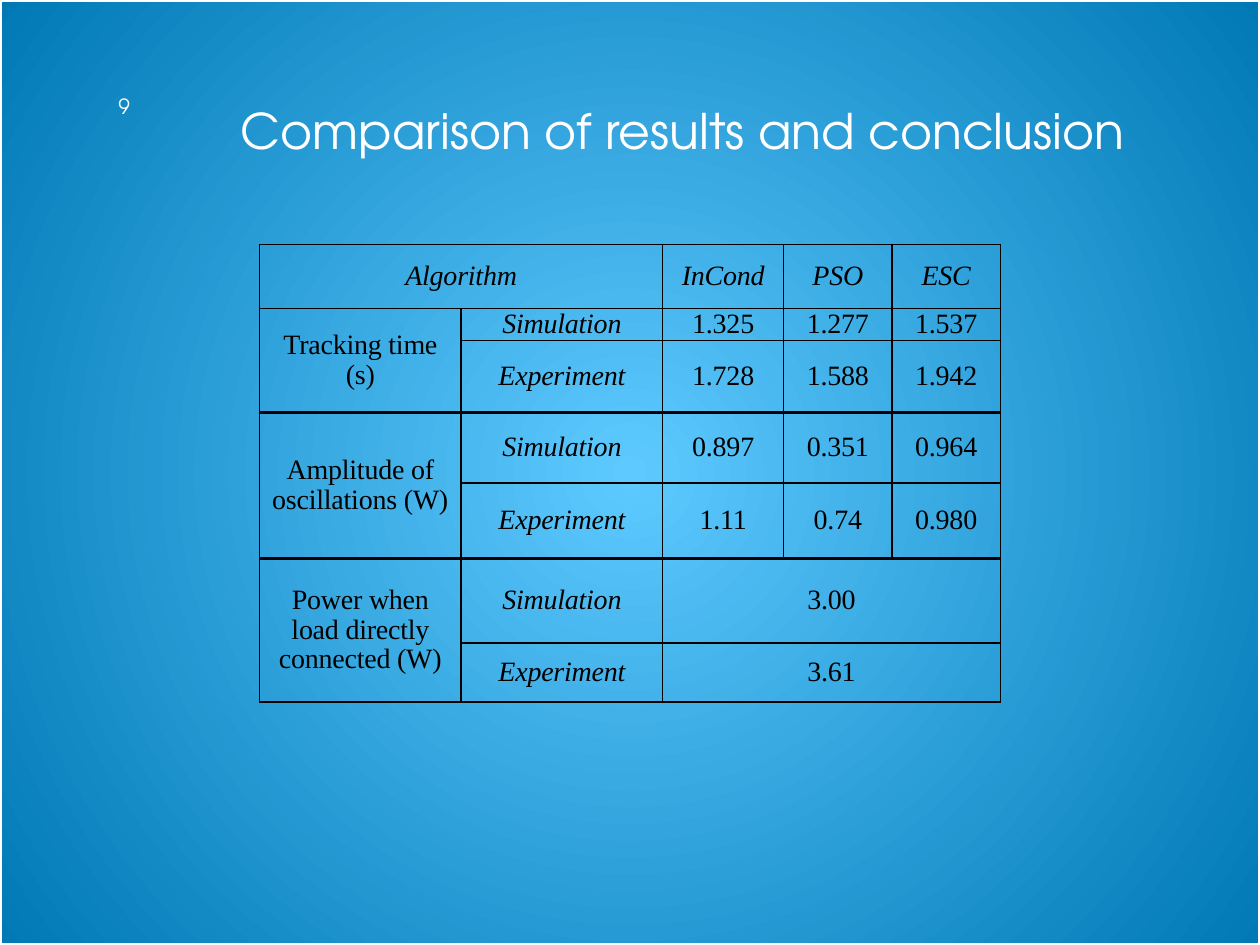
"""Build the slide comparing the results of three tracking algorithms."""
from lxml import etree
from pptx import Presentation
from pptx.dml.color import RGBColor
from pptx.enum.shapes import MSO_SHAPE
from pptx.enum.text import MSO_ANCHOR, PP_ALIGN
from pptx.oxml import parse_xml
from pptx.oxml.ns import nsdecls, qn
from pptx.util import Inches, Pt

CENTER = PP_ALIGN.CENTER
MIDDLE = MSO_ANCHOR.MIDDLE
RECTANGLE = MSO_SHAPE.RECTANGLE
COLORS = {"glow": "5DC9FF", "edge": "0079B5", "light": "FFFFFF", "ink": "000000"}
HEADING_FONT = "TeX Gyre Adventor"
TABLE_FONT = "Times New Roman"


def add_label(page, text, left, top, width, height, size):
    box = page.shapes.add_textbox(Inches(left), Inches(top), Inches(width), Inches(height))
    frame = box.text_frame
    frame.word_wrap = True
    frame.vertical_anchor = MIDDLE
    frame.text = text
    para = frame.paragraphs[0]
    para.alignment = CENTER
    para.font.name = HEADING_FONT
    para.font.size = Pt(size)
    para.runs[0].font.name = HEADING_FONT
    para.runs[0].font.size = Pt(size)
    para.runs[0].font.color.rgb = RGBColor.from_string(COLORS["light"])


def add_border(cell, side, points):
    cell._tc.get_or_add_tcPr().append(parse_xml(
        f'<a:{side} {nsdecls("a")} w="{Pt(points)}"><a:solidFill>'
        f'<a:srgbClr val="{COLORS["ink"]}"/></a:solidFill></a:{side}>'))


deck = Presentation()
deck.slide_width = Inches(10)
deck.slide_height = Inches(7.5)
page = deck.slides.add_slide(deck.slide_layouts[6])

backdrop = page.background.fill
backdrop.gradient()
for stop, name, position in zip(backdrop.gradient_stops, ("glow", "edge"), (0, 1)):
    stop.color.rgb = RGBColor.from_string(COLORS[name])
    stop.position = position
gradient = page._element.find(".//" + qn("a:gradFill"))
direction = gradient.find(qn("a:lin"))
gradient.replace(direction, parse_xml(
    f'<a:path {nsdecls("a")} path="circle">'
    '<a:fillToRect l="50000" t="50000" r="50000" b="50000"/></a:path>'))

border = page.shapes.add_shape(RECTANGLE, 0, 0, deck.slide_width, deck.slide_height)
border.shadow.inherit = False
border.fill.background()
border.line.color.rgb = RGBColor.from_string(COLORS["light"])
border.line.width = Pt(2)

add_label(page, "Comparison of results and conclusion", 1.58, 0.75, 7.67, 0.57, 28)

widths = [1.6, 1.6, 0.96, 0.86, 0.86]
heights = [0.51, 0.25, 0.57, 0.56, 0.6, 0.67, 0.47]
results = [
    ["Algorithm", "", "InCond", "PSO", "ESC"],
    ["Tracking time (s)", "Simulation", "1.325", "1.277", "1.537"],
    ["", "Experiment", "1.728", "1.588", "1.942"],
    ["Amplitude of oscillations (W)", "Simulation", "0.897", "0.351", "0.964"],
    ["", "Experiment", "1.11", "0.74", "0.980"],
    ["Power when load directly connected (W)", "Simulation", "3.00", "", ""],
    ["", "Experiment", "3.61", "", ""],
]
merges = [(0, 0, 0, 1), (1, 0, 2, 0), (3, 0, 4, 0), (5, 0, 6, 0), (5, 2, 5, 4), (6, 2, 6, 4)]
heavy_rules = (3, 5)

table = page.shapes.add_table(
    len(heights), len(widths), Inches(2.06), Inches(1.94),
    Inches(sum(widths)), Inches(sum(heights))).table
table.first_row = False
table.horz_banding = False
for column, width in zip(table.columns, widths):
    column.width = Inches(width)
for row, height in zip(table.rows, heights):
    row.height = Inches(height)
for top, left, bottom, right in merges:
    table.cell(top, left).merge(table.cell(bottom, right))

for row, texts in enumerate(results):
    for column, text in enumerate(texts):
        cell = table.cell(row, column)
        cell.margin_left = cell.margin_right = Inches(0.07)
        cell.margin_top = cell.margin_bottom = 0
        cell.vertical_anchor = MIDDLE
        below = row + (cell.span_height if cell.is_merge_origin else 1)
        add_border(cell, "lnL", 1)
        add_border(cell, "lnR", 1)
        add_border(cell, "lnT", 1.5 if row in heavy_rules else 1)
        add_border(cell, "lnB", 1.5 if below in heavy_rules else 1)
        cell.fill.background()
        if not text:
            continue
        cell.text_frame.text = text
        para = cell.text_frame.paragraphs[0]
        tabs = etree.SubElement(para._p.get_or_add_pPr(), qn("a:tabLst"))
        etree.SubElement(tabs, qn("a:tab"), pos=str(Inches(0.2)), algn="l")
        para.alignment = CENTER
        para.line_spacing = 0.95
        para.space_after = Pt(6)
        span = para.runs[0]
        span.font.name = TABLE_FONT
        span.font.size = Pt(16)
        span.font.italic = row == 0 or column == 1
        span.font.color.rgb = RGBColor.from_string(COLORS["ink"])
        span._r.get_or_add_rPr().set("spc", "-10")

add_label(page, "9", 0.16, 0.72, 1.65, 0.25, 12)

deck.save("out.pptx")
